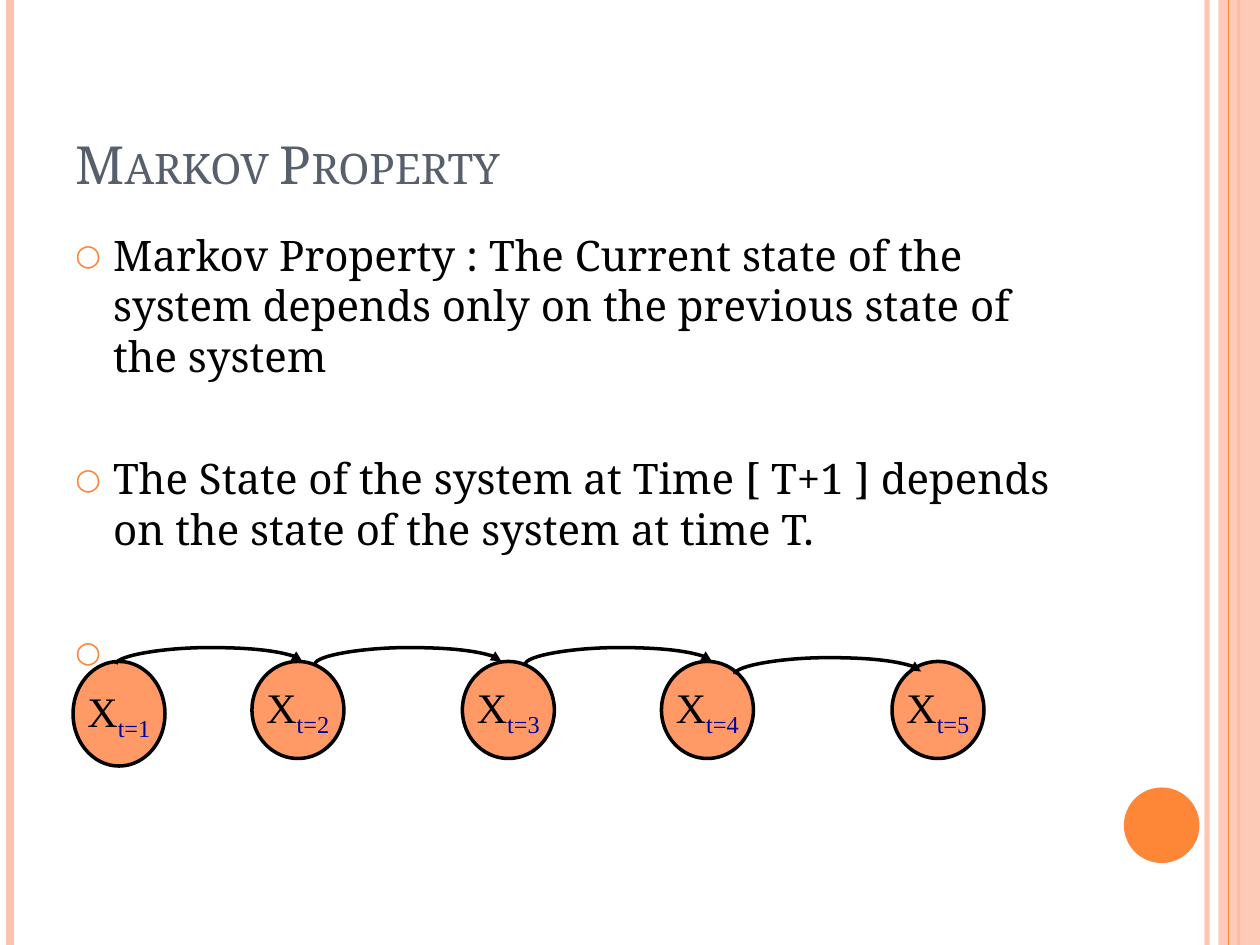
import pptx
import pptx.dml.color
import pptx.enum.shapes
import pptx.enum.text
import pptx.oxml
import pptx.oxml.ns
import pptx.util

Inches = pptx.util.Inches
Pt = pptx.util.Pt
RGBColor = pptx.dml.color.RGBColor
MSO_SHAPE = pptx.enum.shapes.MSO_SHAPE
MSO_CONNECTOR = pptx.enum.shapes.MSO_CONNECTOR
MSO_ANCHOR = pptx.enum.text.MSO_ANCHOR
PP_ALIGN = pptx.enum.text.PP_ALIGN

ORANGE = RGBColor(0xFE, 0x86, 0x37)
PEACH = RGBColor(0xFE, 0xC3, 0xAE)
STATE_FILL = RGBColor(0xFF, 0x99, 0x66)
SLATE = RGBColor(0x57, 0x5F, 0x6D)
NAVY = RGBColor(0x00, 0x00, 0x99)
BLACK = RGBColor(0x00, 0x00, 0x00)
BODY_FONT = "Noto Serif"
STATE_FONT = "Times New Roman"


def add_xml(parent, tag, **attributes):
    """Append a drawing element to a parent and return it."""
    child = pptx.oxml.parse_xml(f"<a:{tag} {pptx.oxml.ns.nsdecls('a')}/>")
    for name, value in attributes.items():
        child.set(name, str(value))
    parent.append(child)
    return child


def set_alpha(shape, percent):
    """Make the colours of a shape partly transparent."""
    for color in shape._element.spPr.iter(pptx.oxml.ns.qn("a:srgbClr")):
        add_xml(color, "alpha", val=percent * 1000)


def add_run(paragraph, text, size, font, color):
    """Add one formatted run of text."""
    run = paragraph.add_run()
    run.text = text
    run.font.size = Pt(size)
    run.font.name = font
    run.font.color.rgb = color
    return run


def add_line(slide, kind, start, end, color, width):
    """Add a plain line without a shadow."""
    points = [Inches(value) for value in (*start, *end)]
    line = slide.shapes.add_connector(kind, *points)
    line.line.color.rgb = color
    line.line.width = Pt(width)
    add_xml(line._element.spPr, "effectLst")
    return line


def add_filled(slide, kind, box, color):
    """Add a filled shape without outline or shadow."""
    shape = slide.shapes.add_shape(kind, *[Inches(value) for value in box])
    shape.shadow.inherit = False
    shape.fill.solid()
    shape.fill.fore_color.rgb = color
    shape.line.fill.background()
    return shape


def add_text_frame(slide, box):
    """Add a wrapping text box and return its frame."""
    frame = slide.shapes.add_textbox(*[Inches(value) for value in box]).text_frame
    frame.word_wrap = True
    return frame


def add_decoration(slide, width, height):
    """Draw the vertical stripes and the round accent."""
    def stripe(x, color, weight):
        return add_line(slide, MSO_CONNECTOR.STRAIGHT, (x, 0), (x, height), color, weight)

    set_alpha(stripe(width - 0.42, PEACH, 3), 93)
    stripe(0.08, PEACH, 4.5)
    stripe(width - 0.17, ORANGE, 1.5)
    set_alpha(add_filled(slide, MSO_SHAPE.RECTANGLE, (width - 0.33, 0, 0.33, height), PEACH), 87)
    stripe(width - 0.25, ORANGE, 0.75)
    add_filled(slide, MSO_SHAPE.OVAL, (width - 1.08, height - 1.25, 0.6, 0.6), ORANGE)


def add_title(slide, box, text):
    """Write the title in small capitals at the foot of its box."""
    frame = add_text_frame(slide, box)
    frame.vertical_anchor = MSO_ANCHOR.BOTTOM
    frame.margin_bottom = 0
    run = add_run(frame.paragraphs[0], text, 30, BODY_FONT, SLATE)
    run.font._element.set("cap", "small")


def add_bullets(slide, box, texts):
    """Write widely spaced paragraphs with round bullets."""
    frame = add_text_frame(slide, box)
    for index, text in enumerate(texts):
        paragraph = frame.add_paragraph() if index else frame.paragraphs[0]
        paragraph.line_spacing = Pt(28.9)
        paragraph.space_before = Pt(41 if index else 0)
        properties = paragraph._p.get_or_add_pPr()
        properties.set("marL", str(Inches(0.3)))
        properties.set("indent", str(-Inches(0.3)))
        add_xml(add_xml(properties, "buClr"), "srgbClr", val=ORANGE)
        add_xml(properties, "buSzPct", val=70000)
        add_xml(properties, "buFont", typeface=BODY_FONT)
        add_xml(properties, "buChar", char="○")
        add_run(paragraph, text, 24, BODY_FONT, BLACK)


def add_state(slide, box, step):
    """Draw one state of the chain with its time subscript."""
    state = add_filled(slide, MSO_SHAPE.OVAL, box, STATE_FILL)
    state.line.color.rgb = BLACK
    state.line.width = Pt(2)
    frame = state.text_frame
    frame.word_wrap = False
    frame.vertical_anchor = MSO_ANCHOR.MIDDLE
    paragraph = frame.paragraphs[0]
    paragraph.alignment = PP_ALIGN.CENTER
    add_run(paragraph, "X", 24, STATE_FONT, BLACK)
    subscript = add_run(paragraph, f"t={step}", 24, STATE_FONT, NAVY)
    subscript.font._element.set("baseline", "-25000")


def add_transition(slide, x, y, span=1.48, drop=0.02, rise=0.13):
    """Draw a curved arrow arching from (x, y) to the next state."""
    left, top = x + (span - drop) / 2, y - (drop + span) / 2
    arrow = add_line(slide, MSO_CONNECTOR.CURVE, (left + drop, top + span), (left, top), BLACK, 2)
    properties = arrow._element.spPr
    properties.find(pptx.oxml.ns.qn("a:xfrm")).set("rot", "5400000")
    guides = properties.find(pptx.oxml.ns.qn("a:prstGeom")).get_or_add_avLst()
    add_xml(guides, "gd", name="adj1", fmla=f"val {round(rise / drop * 100000)}")
    add_xml(arrow.line._get_or_add_ln(), "tailEnd", type="triangle")


def add_chain(slide, left, top):
    """Draw the states and the transitions between them."""
    for step, offset in enumerate((0, 1.42, 3.09, 4.67, 6.5), start=1):
        height = 0.83 if step == 1 else 0.77
        add_state(slide, (left + offset, top, 0.73, height), step)
    for x, y in ((0.34, 0.02), (1.92, 0.02), (5.25, 0.1), (3.59, 0.02)):
        add_transition(slide, left + x, top + y)


def build():
    """Build and save the slide."""
    presentation = pptx.Presentation()
    presentation.slide_width = Inches(10)
    presentation.slide_height = Inches(7.5)
    slide = presentation.slides.add_slide(presentation.slide_layouts[6])
    add_decoration(slide, 10, 7.5)
    add_title(slide, (0.5, 0.3, 8.17, 1.25), "Markov Property")
    add_bullets(slide, (0.5, 1.77, 8.17, 5.33), (
        "Markov Property : The Current state of the system depends only on "
        "the previous state of the system",
        "The State of the system at Time [ T+1 ] depends on the state of "
        "the system at time T.",
        " ",
    ))
    add_chain(slide, 0.58, 5.25)
    presentation.save("out.pptx")


build()
